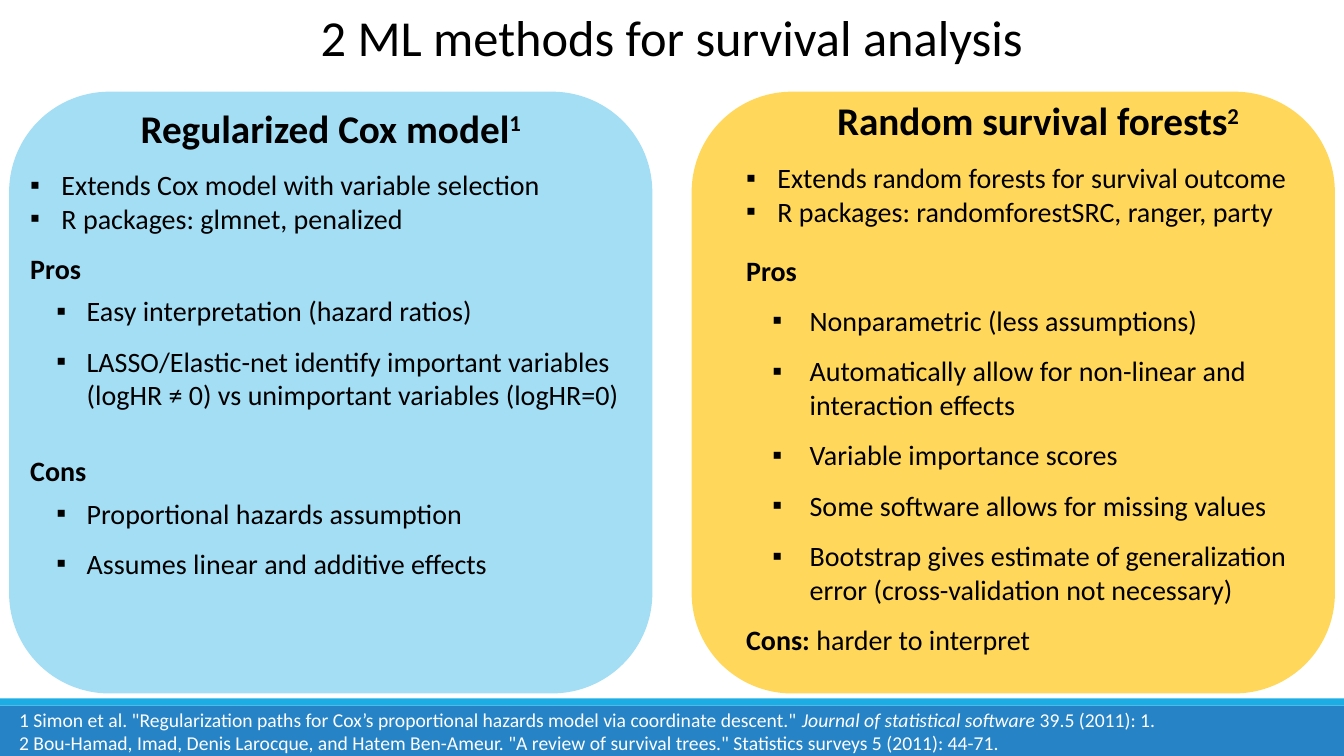
import pptx
import pptx.dml.color
import pptx.enum.shapes
import pptx.enum.text
import pptx.oxml
import pptx.oxml.ns
import pptx.util

Inches = pptx.util.Inches
Pt = pptx.util.Pt
SHAPE = pptx.enum.shapes.MSO_SHAPE
ALIGN = pptx.enum.text.PP_ALIGN
WIDE, HIGH = 13.33, 7.5
FONT = "Calibri"
BLACK, WHITE = "000000", "FFFFFF"
CARD_TOP, CARD_W, CARD_H = 0.91, 6.38, 5.97

COX = [
    ("head", "Regularized Cox model", "1"),
    ("item", "Extends Cox model with variable selection"),
    ("last", "R packages: glmnet, penalized"),
    ("label", "Pros"),
    ("point", "Easy interpretation (hazard ratios)"),
    ("point", "LASSO/Elastic-net identify important variables "
              "(logHR ≠ 0) vs unimportant variables (logHR=0)"),
    ("apart", "Cons"),
    ("point", "Proportional hazards assumption"),
    ("point", "Assumes linear and additive effects"),
]
FOREST = [
    ("head", "Random survival forests", "2"),
    ("item", "Extends random forests for survival outcome"),
    ("last", "R packages: randomforestSRC, ranger, party"),
    ("loose", "Pros"),
    ("point", "Nonparametric (less assumptions)"),
    ("point", "Automatically allow for non-linear and interaction effects"),
    ("point", "Variable importance scores"),
    ("point", "Some software allows for missing values"),
    ("point", "Bootstrap gives estimate of generalization error "
              "(cross-validation not necessary)"),
    ("loose", "Cons: ", "harder to interpret"),
]
# Space before and after each kind of paragraph, in points
GAPS = {"head": (0, 12), "item": (0, 0), "last": (0, 12), "label": (0, 0),
        "apart": (24.4, 0), "loose": (6, 6), "point": (6, 6)}


def color(code):
    return pptx.dml.color.RGBColor.from_string(code)


def place(shape, box):
    shape.left, shape.top, shape.width, shape.height = map(Inches, box)
    frame = shape.text_frame
    frame.word_wrap = True
    frame.auto_size = pptx.enum.text.MSO_AUTO_SIZE.NONE
    return frame


def add_run(para, text, size, ink=BLACK, bold=False, italic=False):
    run = para.add_run()
    run.text = text
    font = run.font
    font.name, font.size = FONT, Pt(size)
    font.bold, font.italic = bold, italic
    font.color.rgb = color(ink)
    return run


def add_block(slide, kind, box, fill):
    block = slide.shapes.add_shape(kind, *map(Inches, box))
    block.shadow.inherit = False
    block.fill.solid()
    block.fill.fore_color.rgb = color(fill)
    block.line.fill.background()


def next_para(frame, index):
    return frame.add_paragraph() if index else frame.paragraphs[0]


def set_mark(para, indent, hang):
    """Give the paragraph a square bullet, or none if it does not hang."""
    props = para._p.get_or_add_pPr()
    props.set("marL", str(Inches(indent)))
    props.set("indent", str(-Inches(hang)))
    tag = 'a:buChar %s char="▪"' if hang else "a:buNone %s"
    space = pptx.oxml.ns.nsdecls("a")
    props.append(pptx.oxml.parse_xml("<" + tag % space + "/>"))


def add_title(slide, box):
    frame = place(slide.shapes.title, box)
    para = frame.paragraphs[0]
    para.alignment = ALIGN.CENTER
    add_run(para, "2 ML methods for survival analysis", 36)


def add_card(slide, holder, left, fill, box, lines, inset):
    """Draw a rounded card with its list on top; inset is for its points."""
    add_block(slide, SHAPE.ROUNDED_RECTANGLE,
              (left, CARD_TOP, CARD_W, CARD_H), fill)
    slide.shapes._spTree.append(holder._element)
    frame = place(holder, box)
    marks = {"item": (0.31, 0.31), "last": (0.31, 0.31), "point": inset}
    for index, (kind, text, *rest) in enumerate(lines):
        para = next_para(frame, index)
        head = kind == "head"
        para.alignment = ALIGN.CENTER if head else ALIGN.LEFT
        para.line_spacing = 1.0
        para.space_before, para.space_after = map(Pt, GAPS[kind])
        set_mark(para, *marks.get(kind, (0, 0)))
        size = 28 if head else 20
        add_run(para, text, size, bold=kind not in marks)
        for extra in rest:
            run = add_run(para, extra, size, bold=head)
            if head:
                run._r.get_or_add_rPr().set("baseline", "30000")


def add_footer(slide, top):
    add_block(slide, SHAPE.RECTANGLE, (0, top, WIDE, HIGH - top), "2683C6")
    add_block(slide, SHAPE.RECTANGLE, (0, top - 0.07, WIDE, 0.07), "1CADE4")
    box = (0.09, top - 0.03, 13.15, 0.57)
    frame = place(slide.shapes.add_textbox(0, 0, 0, 0), box)
    notes = [
        [('1 Simon et al. "Regularization paths for Cox’s proportional '
          'hazards model via coordinate descent." ', False),
         ("Journal of statistical software", True),
         (" 39.5 (2011): 1.", False)],
        [('2 Bou-Hamad, Imad, Denis Larocque, and Hatem Ben-Ameur. '
          '"A review of survival trees." Statistics surveys 5 (2011): '
          '44-71.', False)],
    ]
    for index, note in enumerate(notes):
        para = next_para(frame, index)
        for text, italic in note:
            add_run(para, text, 14, WHITE, italic=italic)


def main():
    deck = pptx.Presentation()
    deck.slide_width, deck.slide_height = Inches(WIDE), Inches(HIGH)
    slide = deck.slides.add_slide(deck.slide_layouts[3])
    holders = slide.placeholders
    add_title(slide, (0.57, 0.01, 12.19, 0.71))
    add_footer(slide, 7)
    add_card(slide, holders[1], 0.09, "A4DEF4", (0.2, 0.98, 6.16, 5.25),
             COX, (0.56, 0.3))
    add_card(slide, holders[2], 6.86, "FFD85B", (7.3, 0.91, 5.99, 6.04),
             FOREST, (0.63, 0.37))
    deck.save("out.pptx")


if __name__ == "__main__":
    main()
